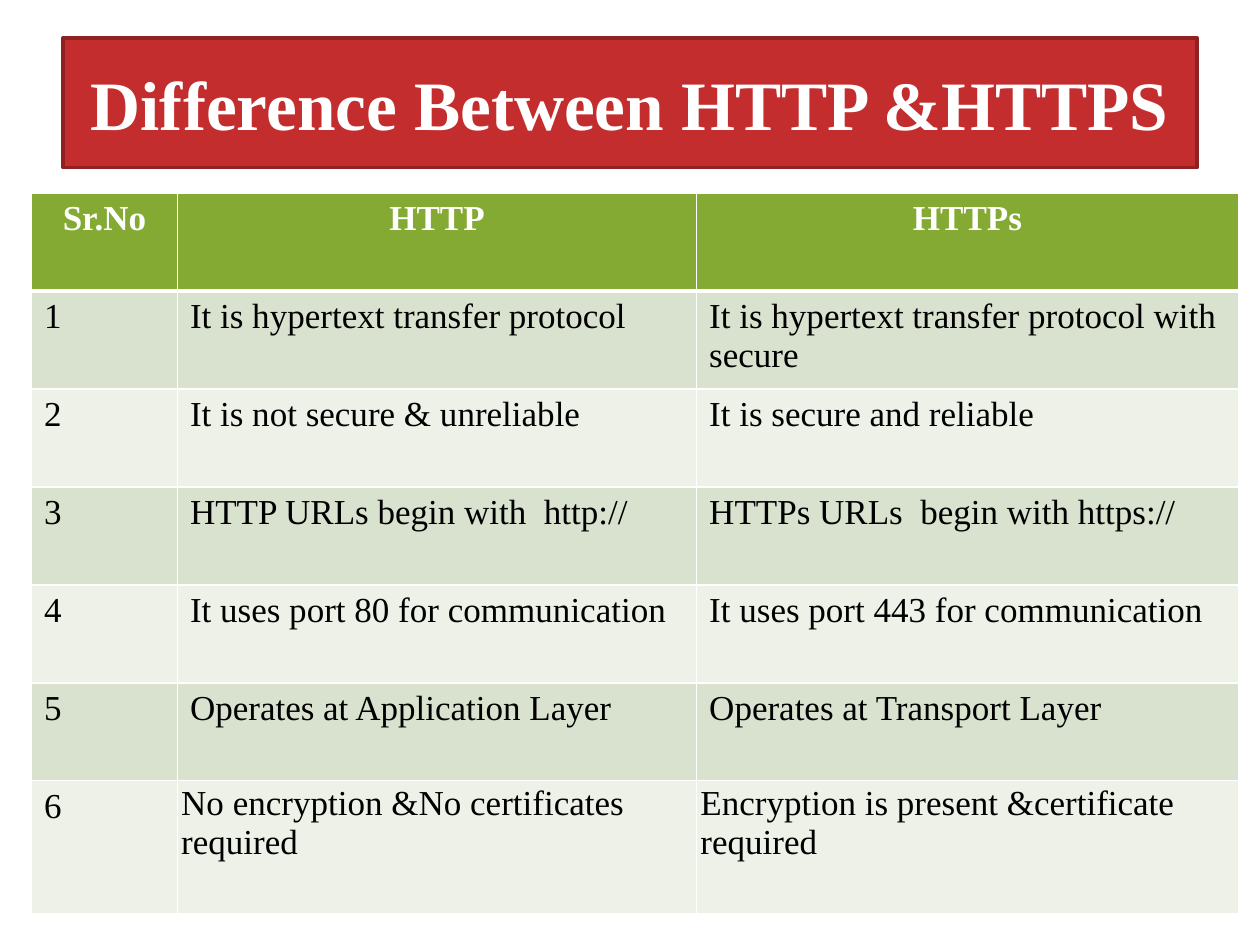
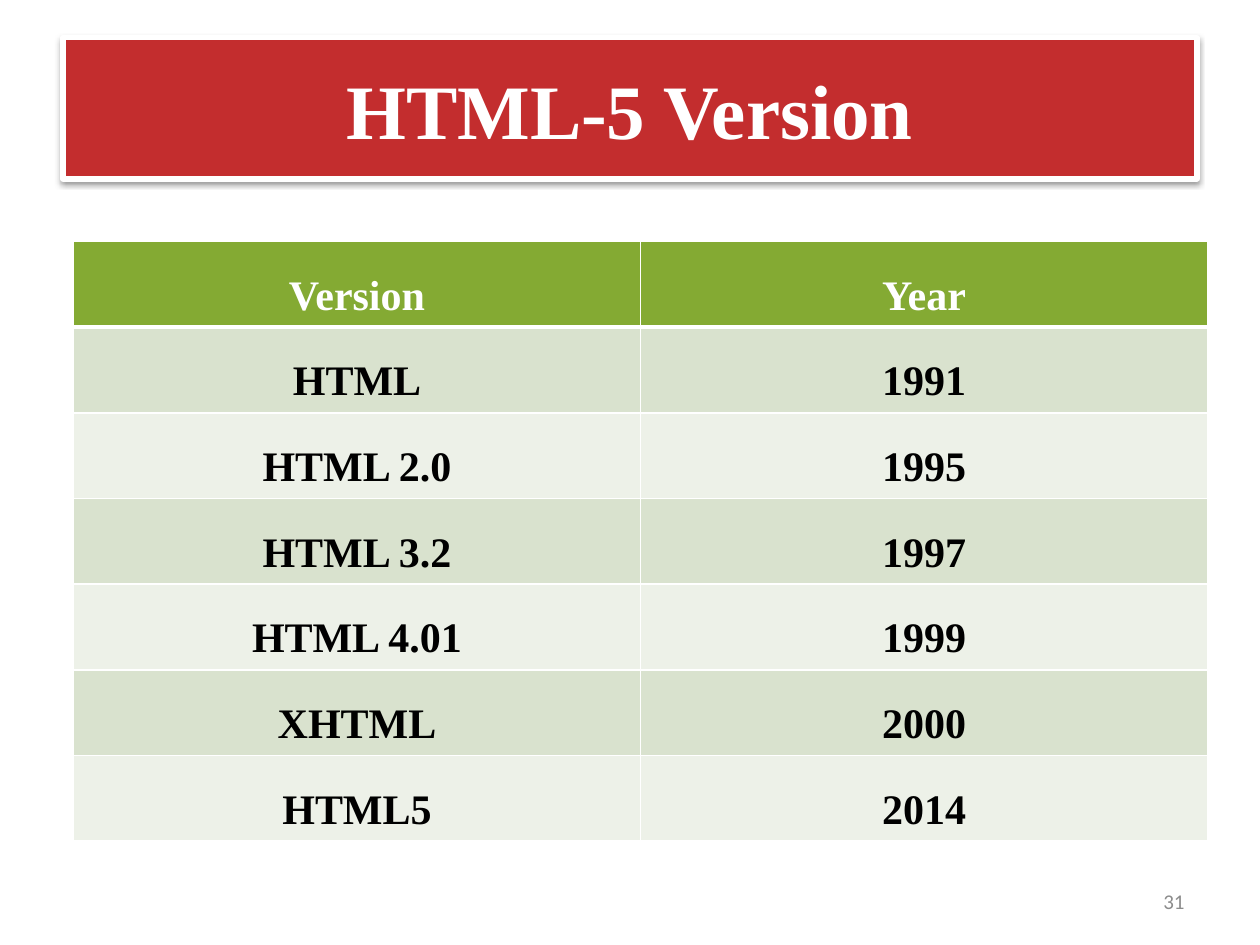
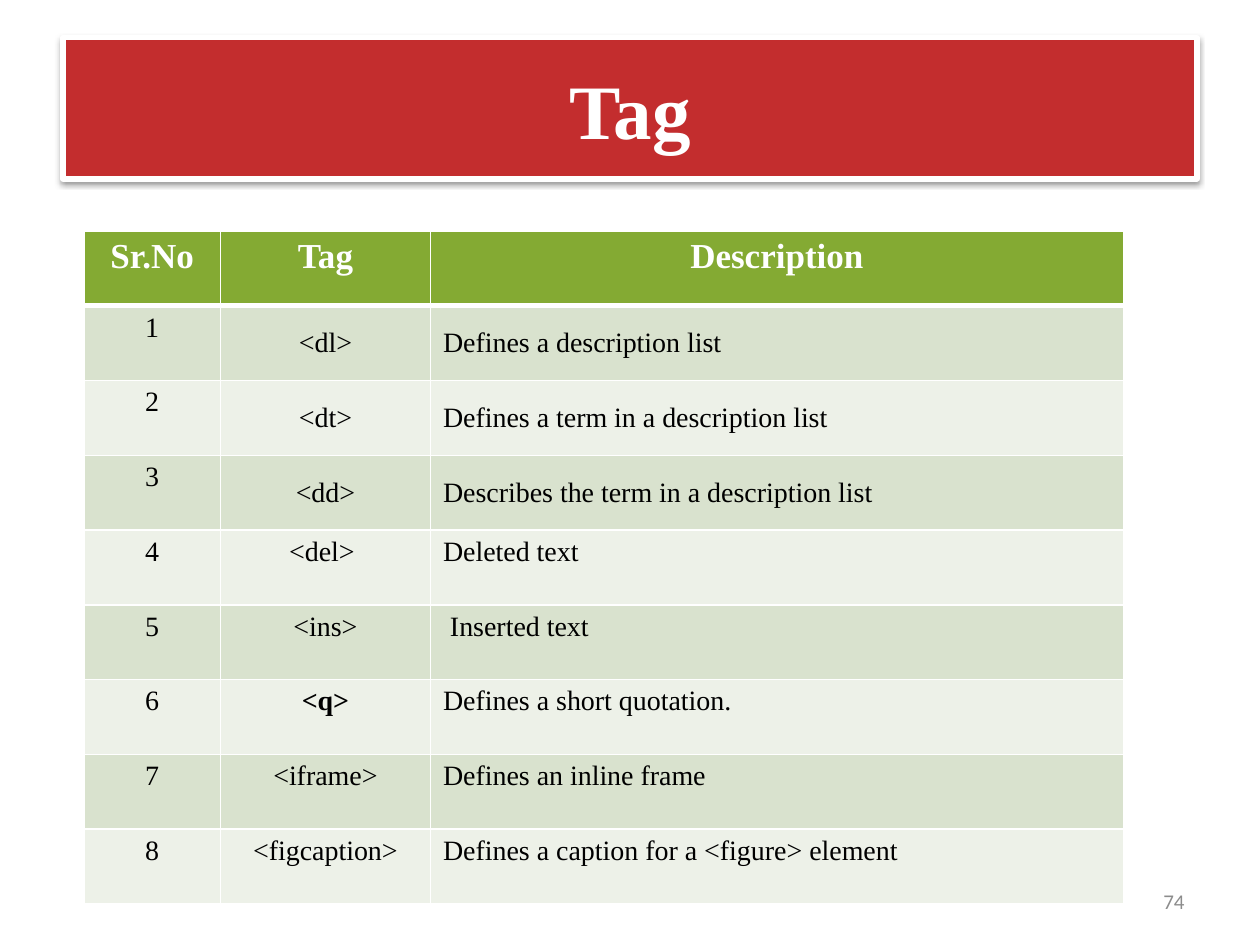
from dataclasses import dataclass

from lxml.etree import SubElement
from pptx import Presentation
from pptx.dml.color import RGBColor
from pptx.enum.text import MSO_ANCHOR, MSO_AUTO_SIZE, PP_ALIGN
from pptx.oxml.ns import qn
from pptx.util import Inches, Pt


@dataclass(frozen=True)
class Theme:
    title_fill: str = "C32D2E"
    title_edge: str = "902122"
    header_fill: str = "84AA33"
    bands: tuple = ("D9E2CE", "EDF1E8")
    white: str = "FFFFFF"
    black: str = "000000"
    grey: str = "8C8C8C"
    font: str = "Times New Roman"
    number_font: str = "Calibri"
    title_size: float = 44
    long_title_size: float = 39.6
    large_size: float = 24
    medium_size: float = 20
    small_size: float = 16
    number_size: float = 12
    thin_line: float = 1
    thick_line: float = 3


THEME = Theme()
SLIDE_WIDTH, SLIDE_HEIGHT = Inches(10), Inches(7.5)
GRID_COLUMNS = 120  # square cells, so rows have the same unit
TITLE_ONLY = 5

PROTOCOLS = [
    ("Sr.No", "HTTP", "HTTPs"),
    ("1", "It is hypertext transfer protocol", "It is hypertext transfer protocol with secure"),
    ("2", "It is not secure & unreliable", "It is secure and reliable"),
    ("3", "HTTP URLs begin with  http://", "HTTPs URLs  begin with https://"),
    ("4", "It uses port 80 for communication", "It uses port 443 for communication"),
    ("5", "Operates at Application Layer", "Operates at Transport Layer"),
    ("6", "No encryption &No certificates required", "Encryption is present &certificate required"),
]
VERSIONS = [
    ("Version", "Year"),
    ("HTML", "1991"),
    ("HTML 2.0", "1995"),
    ("HTML 3.2", "1997"),
    ("HTML 4.01", "1999"),
    ("XHTML", "2000"),
    ("HTML5", "2014"),
]
TAGS = [
    ("Sr.No", "Tag", "Description"),
    ("1", "<dl>", "Defines a description list"),
    ("2", "<dt>", "Defines a term in a description list"),
    ("3", "<dd>", "Describes the term in a description list"),
    ("4", "<del> ", "Deleted text"),
    ("5", "<ins>", " Inserted text"),
    ("6", "<q>", "Defines a short quotation."),
    ("7", "<iframe>", "Defines an inline frame"),
    ("8", "<figcaption>", "Defines a caption for a <figure> element"),
]


def grid(units):
    """Length of a number of grid cells."""
    return round(SLIDE_WIDTH * units / GRID_COLUMNS)


def color(value):
    return RGBColor.from_string(value)


def write_text(frame, text, *, size, fill=THEME.black, font=THEME.font, bold=False,
               align=PP_ALIGN.LEFT, line_spacing=None):
    paragraph = frame.paragraphs[0]
    paragraph.alignment = align
    paragraph.line_spacing = line_spacing
    run = paragraph.add_run()
    run.text = text
    run.font.name, run.font.size, run.font.bold = font, Pt(size), bold
    run.font.color.rgb = color(fill)


def add_color(parent, value):
    return SubElement(parent, qn("a:srgbClr"), val=value)


def add_shadow(shape):
    effects = SubElement(shape.element.spPr, qn("a:effectLst"))
    shadow = SubElement(effects, qn("a:outerShdw"), blurRad=str(Pt(3.1)),
                        dist=str(Pt(1.6)), dir="5400000", rotWithShape="0")
    SubElement(add_color(shadow, THEME.black), qn("a:alpha"), val="38000")


def add_title_slide(presentation, text, *, height=13.44, size=THEME.title_size,
                    edge=THEME.white, edge_width=THEME.thick_line, shadow=True):
    """Add a slide whose title is a red band."""
    slide = presentation.slides.add_slide(presentation.slide_layouts[TITLE_ONLY])
    title = slide.shapes.title
    title.left, title.top = grid(6), grid(3.6)
    title.width, title.height = grid(108), grid(height)
    title.fill.solid()
    title.fill.fore_color.rgb = color(THEME.title_fill)
    title.line.color.rgb = color(edge)
    title.line.width = Pt(edge_width)
    if shadow:
        add_shadow(title)
    frame = title.text_frame
    frame.auto_size = MSO_AUTO_SIZE.NONE
    frame.vertical_anchor = MSO_ANCHOR.MIDDLE
    write_text(frame, text, size=size, fill=THEME.white, bold=True, align=PP_ALIGN.CENTER)
    return slide


def add_slide_number(slide, number):
    box = slide.shapes.add_textbox(grid(86), grid(83.4), grid(28), grid(4.8))
    box.text_frame.word_wrap = True
    box.text_frame.vertical_anchor = MSO_ANCHOR.MIDDLE
    write_text(box.text_frame, str(number), size=THEME.number_size, fill=THEME.grey,
               font=THEME.number_font, align=PP_ALIGN.RIGHT)


def set_borders(cell, row):
    """White rules, thicker between the header and the first body row."""
    thick_side = {0: "lnB", 1: "lnT"}.get(row)
    properties = cell._tc.get_or_add_tcPr()
    for side in ("lnL", "lnR", "lnT", "lnB"):
        width = THEME.thick_line if side == thick_side else THEME.thin_line
        line = SubElement(properties, qn(f"a:{side}"), w=str(Pt(width)))
        add_color(SubElement(line, qn("a:solidFill")), THEME.white)


def fill_cell(cell, text, row, *, anchor=MSO_ANCHOR.TOP, margin=None, **text_format):
    set_borders(cell, row)
    cell.fill.solid()
    cell.fill.fore_color.rgb = color(THEME.bands[(row - 1) % 2] if row else THEME.header_fill)
    cell.vertical_anchor = anchor
    if margin is not None:
        cell.margin_left = cell.margin_right = Inches(margin)
        cell.margin_top = cell.margin_bottom = Inches(margin)
    if row == 0:
        text_format |= {"fill": THEME.white, "bold": True, "align": PP_ALIGN.CENTER}
    write_text(cell.text_frame, text, **text_format)


def add_banded_table(slide, left, top, widths, heights, records, cell_format):
    """Add a table; cell_format gives the format of a cell from its row and column."""
    table = slide.shapes.add_table(len(heights), len(widths), grid(left), grid(top),
                                   grid(sum(widths)), grid(sum(heights))).table
    for column, width in zip(table.columns, widths):
        column.width = grid(width)
    for row, height in zip(table.rows, heights):
        row.height = grid(height)
    for row, record in enumerate(records):
        for column, text in enumerate(record):
            fill_cell(table.cell(row, column), text, row, **cell_format(row, column))


def protocol_format(row, column):
    tight = row == len(PROTOCOLS) - 1 and column > 0
    return {"size": THEME.medium_size, "margin": 0.03 if tight else None}


def version_format(row, column):
    return {"size": THEME.large_size, "bold": True, "align": PP_ALIGN.CENTER,
            "line_spacing": 1.5, "anchor": MSO_ANCHOR.MIDDLE, "margin": 0.01}


def tag_format(row, column):
    centered = 1 <= row <= 3 and column > 0
    return {"size": THEME.small_size if row else THEME.medium_size,
            "bold": TAGS[row][column] == "<q>",
            "align": PP_ALIGN.LEFT if column == 2 else PP_ALIGN.CENTER,
            "anchor": MSO_ANCHOR.MIDDLE if centered else MSO_ANCHOR.TOP}


def main():
    presentation = Presentation()
    presentation.slide_width, presentation.slide_height = SLIDE_WIDTH, SLIDE_HEIGHT

    slide = add_title_slide(presentation, "Difference Between HTTP &HTTPS", height=12.36,
                            size=THEME.long_title_size, edge=THEME.title_edge,
                            edge_width=2, shadow=False)
    add_banded_table(slide, 3, 18.4, [13.9, 49.45, 51.6], [9.33] * 6 + [12.67],
                     PROTOCOLS, protocol_format)

    slide = add_title_slide(presentation, "HTML-5 Version")
    add_slide_number(slide, 31)
    add_banded_table(slide, 7, 23, [54] * 2, [8.16] * len(VERSIONS), VERSIONS, version_format)

    slide = add_title_slide(presentation, "Tag")
    add_slide_number(slide, 74)
    add_banded_table(slide, 8, 22, [13, 20, 66], [7.12] * len(TAGS), TAGS, tag_format)

    presentation.save("out.pptx")


if __name__ == "__main__":
    main()
